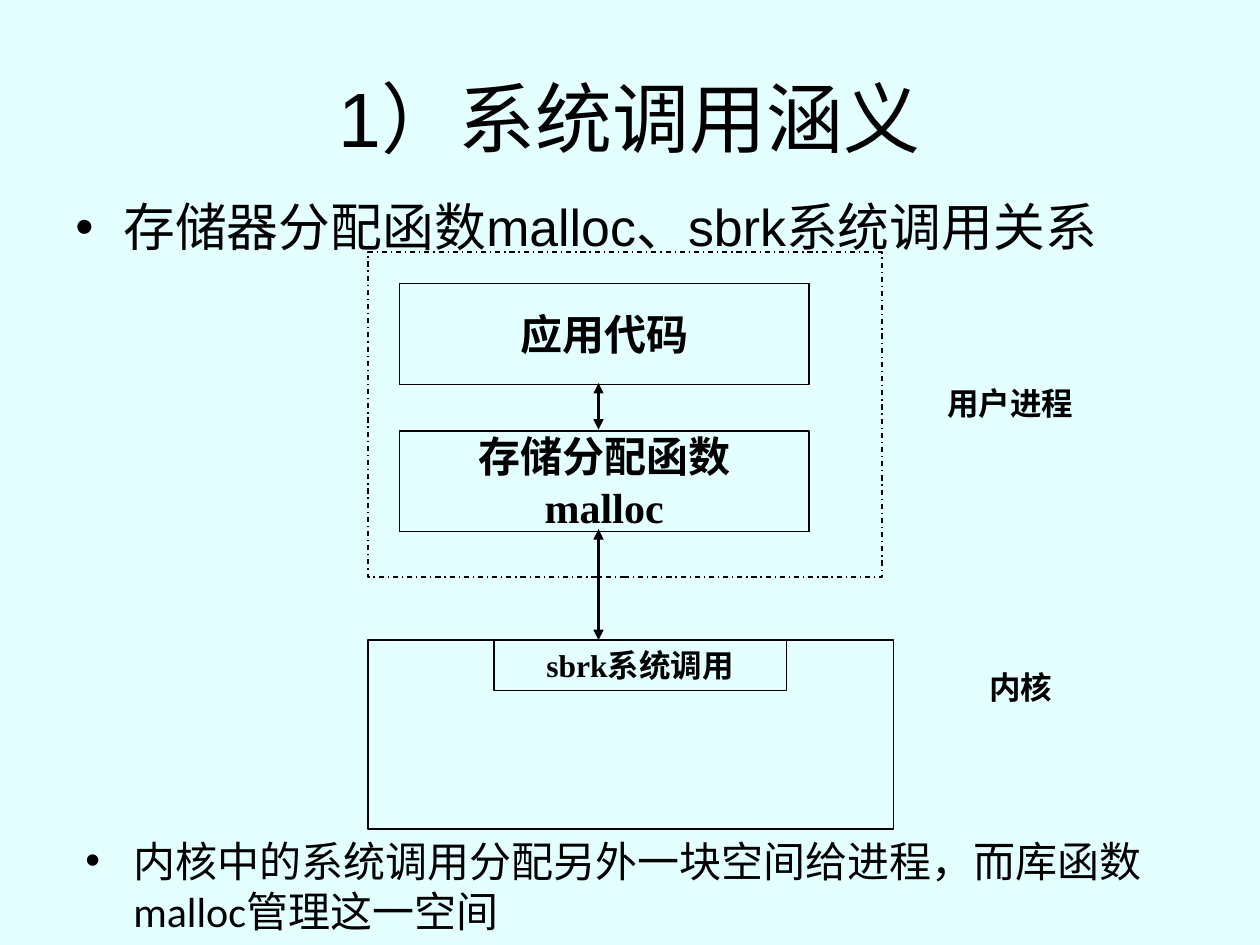
from lxml import etree
from pptx import Presentation
from pptx.dml.color import RGBColor
from pptx.enum.dml import MSO_LINE
from pptx.enum.shapes import MSO_CONNECTOR, MSO_SHAPE
from pptx.enum.text import MSO_ANCHOR, PP_ALIGN
from pptx.oxml.ns import qn
from pptx.util import Inches, Pt

BLACK = RGBColor(0x00, 0x00, 0x00)
PALE_CYAN = RGBColor(0xE3, 0xFF, 0xFF)
CENTER, LEFT = PP_ALIGN.CENTER, PP_ALIGN.LEFT
MIDDLE, TOP = MSO_ANCHOR.MIDDLE, MSO_ANCHOR.TOP
RECTANGLE, STRAIGHT = MSO_SHAPE.RECTANGLE, MSO_CONNECTOR.STRAIGHT
DASH_DOT = MSO_LINE.DASH_DOT

TITLE = ("1）系统调用涵义", (0.5, 0.3, 9, 1.25), {"name": "Arial", "size": Pt(44)})
BULLETS = [
    ("存储器分配函数malloc、sbrk系统调用关系", (0.5, 1.5, 9, 0.83),
     {"name": "Arial", "size": Pt(29.6)}, 8),
    ("内核中的系统调用分配另外一块空间给进程，而库函数malloc管理这一空间", (0.58, 6.58, 9, 0.83),
     {"name": "Calibri", "size": Pt(24)}, 6),
]
BOXES = [
    ("sbrk系统调用", (3.92, 5.08, 2.32, 0.4), 18, None),
    ("应用代码", (3.17, 2.25, 3.25, 0.8), 24, None),
    ("存储分配函数\nmalloc", (3.17, 3.42, 3.25, 0.8), 24, None),
    ("", (2.92, 5.08, 4.17, 1.5), 18, None),
    ("", (2.92, 2, 4.08, 2.58), 18, DASH_DOT),
]
SIDE_LABELS = [
    ("用户进程", (7.42, 3, 1.2, 0.4)),
    ("内核", (7.75, 5.25, 0.7, 0.4)),
]
ARROW_X = 4.75
ARROW_SPANS = [(4.2, 5.08), (3.04, 3.41)]
BULLET_INDENT = Inches(0.38)


def diagram_font(size):
    return {"name": "Times New Roman", "size": Pt(size), "bold": True}


def write_text(shape, text, font, align=CENTER, anchor=MIDDLE, wrap=True):
    frame = shape.text_frame
    frame.text = text
    frame.word_wrap = wrap
    frame.vertical_anchor = anchor
    for paragraph in frame.paragraphs:
        paragraph.alignment = align
        for run in paragraph.runs:
            run.font.color.rgb = BLACK
            for key, value in font.items():
                setattr(run.font, key, value)


def add_text(slide, text, place, font, **layout):
    box = slide.shapes.add_textbox(*map(Inches, place))
    write_text(box, text, font, **layout)
    return box


def add_bullet(slide, text, place, font, space_before):
    box = add_text(slide, text, place, font, align=LEFT, anchor=TOP)
    paragraph = box.text_frame.paragraphs[0]
    paragraph.space_before = Pt(space_before)
    properties = paragraph._p.get_or_add_pPr()
    properties.set("marL", str(BULLET_INDENT))
    properties.set("indent", str(-BULLET_INDENT))
    etree.SubElement(properties, qn("a:buFont"), typeface="Arial")
    etree.SubElement(properties, qn("a:buChar"), char="•")


def add_box(slide, text, place, size, dash):
    box = slide.shapes.add_shape(RECTANGLE, *map(Inches, place))
    box.shadow.inherit = False
    box.fill.background()
    box.line.color.rgb = BLACK
    box.line.width = Pt(0.75)
    if dash:
        box.line.dash_style = dash
    if text:
        write_text(box, text, diagram_font(size))


def add_double_arrow(slide, top, bottom):
    ends = map(Inches, (ARROW_X, top, ARROW_X, bottom))
    arrow = slide.shapes.add_connector(STRAIGHT, *ends)
    arrow.line.color.rgb = BLACK
    arrow.line.width = Pt(1.5)
    line = arrow.line._get_or_add_ln()
    for end in ("a:headEnd", "a:tailEnd"):
        etree.SubElement(line, qn(end), type="triangle")
    etree.SubElement(arrow._element.spPr, qn("a:effectLst"))


def main():
    presentation = Presentation()
    presentation.slide_width = Inches(10)
    presentation.slide_height = Inches(7.5)
    slide = presentation.slides.add_slide(presentation.slide_layouts[6])
    slide.background.fill.solid()
    slide.background.fill.fore_color.rgb = PALE_CYAN

    add_text(slide, *TITLE)
    for box in BOXES:
        add_box(slide, *box)
    for text, place in SIDE_LABELS:
        add_text(slide, text, place, diagram_font(18), wrap=False)
    for span in ARROW_SPANS:
        add_double_arrow(slide, *span)
    for bullet in BULLETS:
        add_bullet(slide, *bullet)
    presentation.save("out.pptx")


if __name__ == "__main__":
    main()
